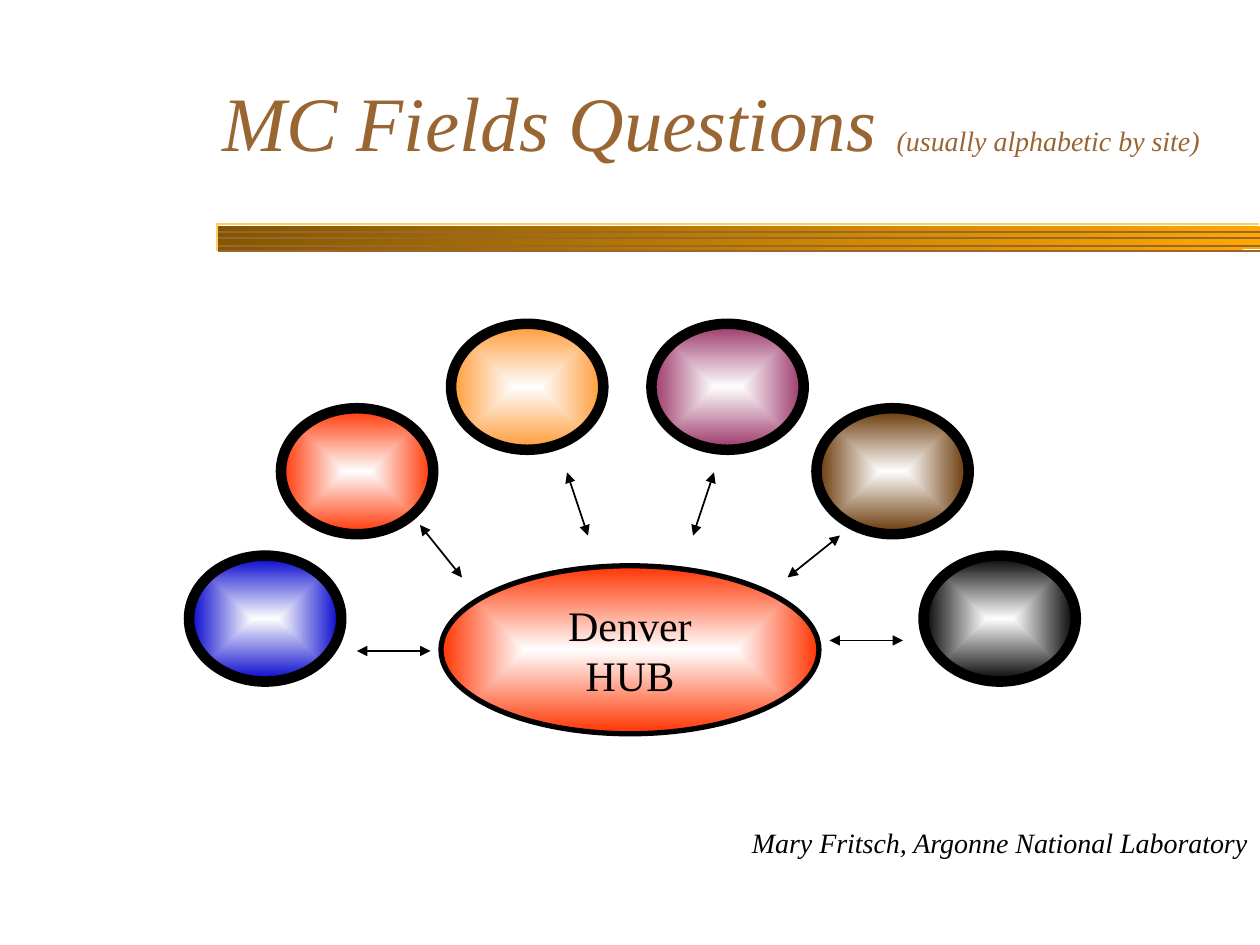
import collections
import lxml.etree
import pptx
import pptx.dml.color
import pptx.enum.shapes
import pptx.enum.text
import pptx.oxml.ns
import pptx.util

COLUMNS, ROWS = 120, 90
WIDTH, HEIGHT = pptx.util.Inches(10), pptx.util.Inches(7.5)
FONT = "Times New Roman"
COLORS = {
    "ink": "000000", "title": "996633", "highlight": "FFCC66",
    "gold": "FFA800", "bronze": "825600", "white": "FFFFFF",
    "glow": "FEFEFE", "blue": "0000CC", "red": "FF3300",
    "orange": "FF9933", "plum": "993366", "brown": "663300",
}
Box = collections.namedtuple("Box", "col row cols rows")

SITE_COLS, SITE_ROWS = 14.5, 12
SITES = [
    (0, 22.92, "blue"), (8.76, 8.88, "red"), (69.96, 22.92, "ink"),
    (59.76, 8.88, "brown"), (24.96, 0.84, "orange"), (44.04, 0.84, "plum"),
]
LINKS = [
    (22, 20, 26, 25), (36, 15, 38, 21), (48, 21, 50, 15),
    (57, 25, 62, 21), (61, 31, 68, 31), (16, 32, 23, 32),
]


def rgb(name):
    return pptx.dml.color.RGBColor.from_string(COLORS[name])


def x(col):
    return round(WIDTH * col / COLUMNS)


def y(row):
    return round(HEIGHT * row / ROWS)


def extent(box):
    return x(box.col), y(box.row), x(box.cols), y(box.rows)


def set_font(font, size, color, italic=False):
    font.name = FONT
    font.size = pptx.util.Pt(size)
    font.italic = italic
    font.color.rgb = rgb(color)


def set_line(line, color, width):
    line.color.rgb = rgb(color)
    line.width = pptx.util.Pt(width)


def add_gradient_shape(slide, kind, box, start, end):
    shape = slide.shapes.add_shape(kind, *extent(box))
    shape.shadow.inherit = False
    shape.fill.gradient()
    for stop, color in zip(shape.fill.gradient_stops, (start, end)):
        stop.color.rgb = rgb(color)
    return shape


def add_glowing_oval(slide, box, center, edge, outline):
    oval = add_gradient_shape(
        slide, pptx.enum.shapes.MSO_SHAPE.OVAL, box, center, edge)
    qn = pptx.oxml.ns.qn
    linear = next(oval._element.spPr.iter(qn("a:lin")))
    gradient = linear.getparent()
    gradient.remove(linear)
    rings = lxml.etree.SubElement(gradient, qn("a:path"), path="rect")
    lxml.etree.SubElement(rings, qn("a:fillToRect"),
                          l="50000", t="50000", r="50000", b="50000")
    set_line(oval.line, "ink", outline)
    return oval


def add_line(slide, start, end, color, arrows=False):
    line = slide.shapes.add_connector(
        pptx.enum.shapes.MSO_CONNECTOR.STRAIGHT,
        x(start[0]), y(start[1]), x(end[0]), y(end[1]))
    set_line(line.line, color, 1)
    qn = pptx.oxml.ns.qn
    properties = line._element.spPr
    if arrows:
        for tip in ("a:headEnd", "a:tailEnd"):
            lxml.etree.SubElement(
                properties.find(qn("a:ln")), qn(tip), type="triangle")
    lxml.etree.SubElement(properties, qn("a:effectLst"))


def add_rule(slide, box):
    right, bottom = box.col + box.cols, box.row + box.rows
    inset = 0.12
    band = add_gradient_shape(
        slide, pptx.enum.shapes.MSO_SHAPE.RECTANGLE,
        Box(box.col + inset, box.row + 0.24, box.cols - inset, 2.16),
        "gold", "bronze")
    band.fill.gradient_angle = 135
    band.line.fill.background()
    for share in (1, 0.81, 0.52, 0.29):
        row = box.row + box.rows * share
        add_line(slide, (box.col + inset, row), (right, row), "title")
    builder = slide.shapes.build_freeform(x(box.col), y(bottom))
    builder.add_line_segments(
        [(x(box.col), y(box.row)), (x(right - inset), y(box.row))], close=False)
    highlight = builder.convert_to_shape()
    highlight.shadow.inherit = False
    highlight.fill.background()
    set_line(highlight.line, "highlight", 1)


def add_credit(slide, box):
    frame = slide.shapes.add_textbox(*extent(box)).text_frame
    frame.word_wrap = True
    credit = frame.paragraphs[0]
    credit.text = "Mary Fritsch, Argonne National Laboratory"
    credit.alignment = pptx.enum.text.PP_ALIGN.RIGHT
    set_font(credit.font, 16, "ink", italic=True)


def add_title(slide, box):
    frame = slide.shapes.add_textbox(*extent(box)).text_frame
    frame.word_wrap = True
    frame.vertical_anchor = pptx.enum.text.MSO_ANCHOR.MIDDLE
    title = frame.paragraphs[0]
    for text, size in (("MC Fields Questions ", 44),
                       ("(usually alphabetic by site)", 16)):
        run = title.add_run()
        run.text = text
        set_font(run.font, size, "title", italic=True)


def add_hub_diagram(slide, box):
    hub = add_glowing_oval(
        slide, Box(box.col + 24, box.row + 23.88, 36, 16), "white", "red", 3)
    frame = hub.text_frame
    frame.word_wrap = False
    frame.vertical_anchor = pptx.enum.text.MSO_ANCHOR.MIDDLE
    label = frame.paragraphs[0]
    label.text = "Denver\vHUB"
    label.alignment = pptx.enum.text.PP_ALIGN.CENTER
    set_font(label.font, 24, "ink")
    for col, row, color in SITES:
        site = Box(box.col + col, box.row + row, SITE_COLS, SITE_ROWS)
        add_glowing_oval(slide, site, "glow", color, 6)
    for col, row, end_col, end_row in LINKS:
        add_line(slide, (box.col + col, box.row + row),
                 (box.col + end_col, box.row + end_row), "ink", arrows=True)


def main():
    deck = pptx.Presentation()
    deck.slide_width, deck.slide_height = WIDTH, HEIGHT
    slide = deck.slides.add_slide(deck.slide_layouts[6])
    add_rule(slide, Box(20.64, 21.36, 99.36, 2.52))
    add_credit(slide, Box(57, 78, 63, 4.44))
    add_title(slide, Box(20, 4, 99.24, 15))
    add_hub_diagram(slide, Box(18, 30, 84.5, 40))
    deck.save("out.pptx")


if __name__ == "__main__":
    main()
